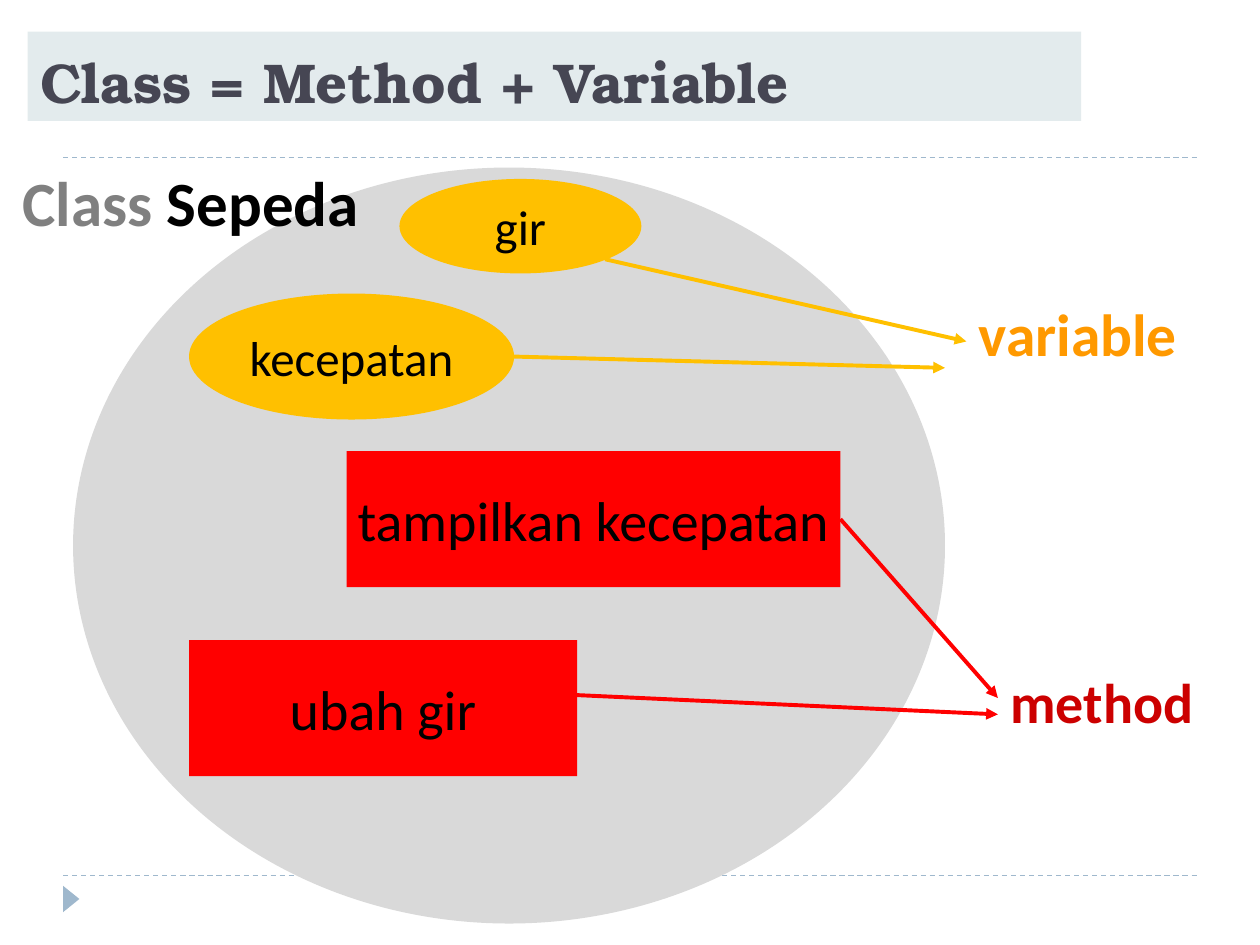
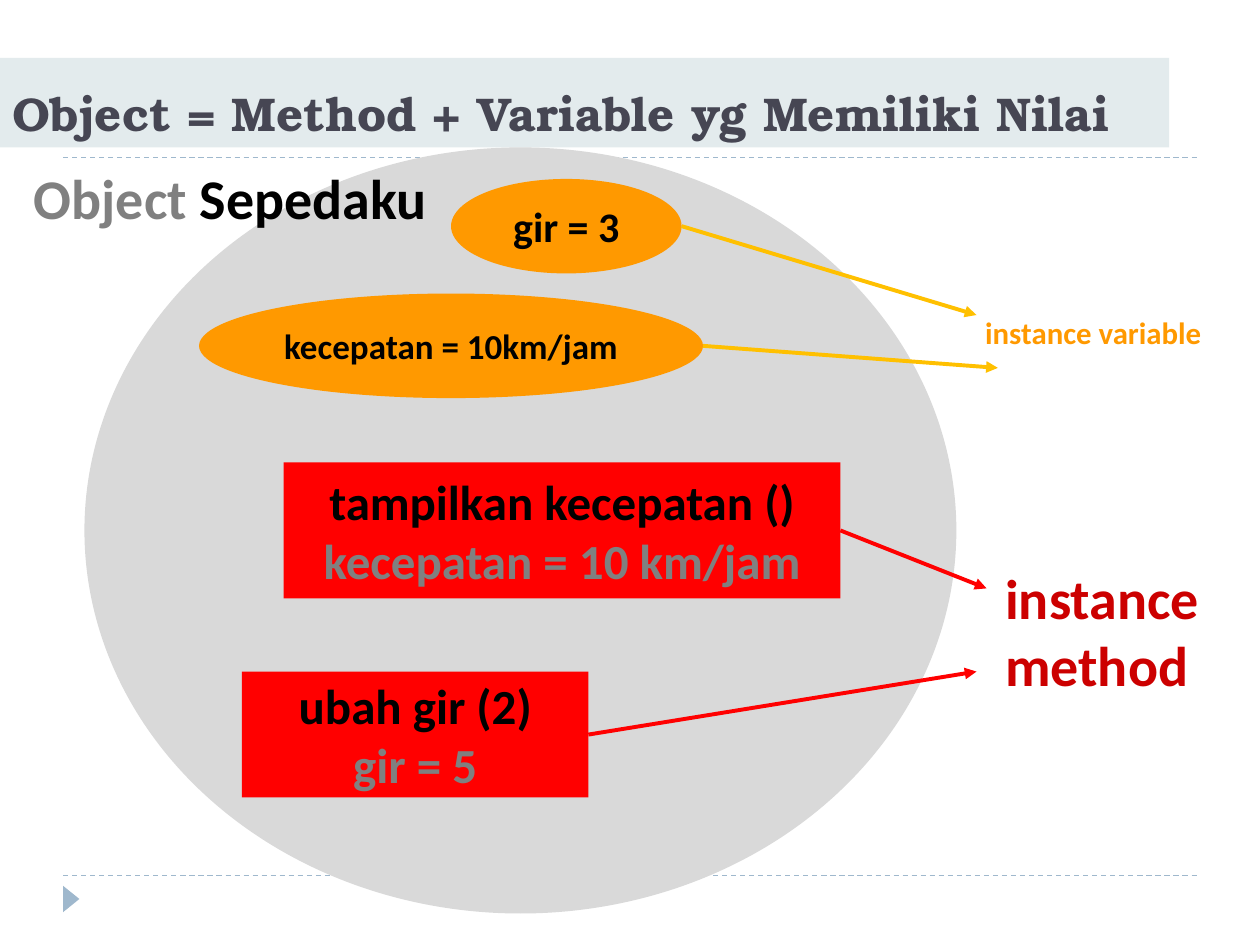
import pptx
import pptx.util
import pptx.dml.color
import pptx.enum.dml
import pptx.enum.shapes
import pptx.enum.text
import pptx.oxml
import pptx.oxml.ns
from lxml import etree

Inches = pptx.util.Inches
SHAPES = pptx.enum.shapes.MSO_SHAPE
ANCHOR = pptx.enum.text.MSO_ANCHOR
ALIGN = pptx.enum.text.PP_ALIGN

TITLE_FONT, BODY_FONT = "TeX Gyre Bonum", "Calibri"
TITLE_INK, BAND, RULE = "464653", "528693", "9FB8CD"
INK, GREY, CIRCLE = "000000", "808080", "D9D9D9"
AMBER, ORANGE, RED, DARK_RED = "FFC000", "FF9900", "FF0000", "CC0000"


def color(hex_code):
    return pptx.dml.color.RGBColor.from_string(hex_code)


def paint(shape, fill):
    shape.fill.solid()
    shape.fill.fore_color.rgb = color(fill)


def write(shape, paragraphs, size, font=BODY_FONT, bold=True, align=ALIGN.LEFT,
          anchor=ANCHOR.TOP, wrap=True, indent=0, spacing=None):
    frame = shape.text_frame
    frame.auto_size = pptx.enum.text.MSO_AUTO_SIZE.NONE
    frame.word_wrap = wrap
    frame.vertical_anchor = anchor
    for number, runs in enumerate(paragraphs):
        paragraph = frame.add_paragraph() if number else frame.paragraphs[0]
        paragraph.alignment = align
        if spacing:
            paragraph.line_spacing = spacing
        if indent:
            paragraph._p.get_or_add_pPr().set("marL", str(Inches(indent)))
        for text, ink in runs:
            run = paragraph.add_run()
            run.text = text
            run.font.name = font
            run.font.size = pptx.util.Pt(size)
            run.font.bold = bold
            run.font.color.rgb = color(ink)


def add_solid(slide, kind, box, fill):
    shape = slide.shapes.add_shape(kind, *map(Inches, box))
    shape.shadow.inherit = False
    shape.line.fill.background()
    paint(shape, fill)
    return shape


def add_line(slide, start, end, ink, width, dashed=False, arrow=False):
    line = slide.shapes.add_connector(
        pptx.enum.shapes.MSO_CONNECTOR.STRAIGHT, *map(Inches, (*start, *end)))
    line.line.color.rgb = color(ink)
    line.line.width = pptx.util.Pt(width)
    if dashed:
        line.line.dash_style = pptx.enum.dml.MSO_LINE.DASH
    properties = line._element.spPr
    if arrow:
        etree.SubElement(properties.find(pptx.oxml.ns.qn("a:ln")),
                         pptx.oxml.ns.qn("a:tailEnd"), type="triangle")
    etree.SubElement(properties, pptx.oxml.ns.qn("a:effectLst"))


def add_frame(slide):
    for y in (6.95, 1.25):
        add_line(slide, (0.5, y), (9.5, y), RULE, 0.75, dashed=True)
    marker = add_solid(slide, SHAPES.ISOSCELES_TRIANGLE, (0.46, 7.07, 0.21, 0.13), RULE)
    marker.rotation = 90


def add_title(slide, box, text, size):
    title = slide.shapes.title
    title.left, title.top, title.width, title.height = map(Inches, box)
    paint(title, BAND)
    tint = title._element.spPr.find(".//" + pptx.oxml.ns.qn("a:srgbClr"))
    etree.SubElement(tint, pptx.oxml.ns.qn("a:alpha"), val="16000")
    write(title, [[(text, TITLE_INK)]], size, font=TITLE_FONT, anchor=ANCHOR.BOTTOM)


def add_diagram(slide, box, members, labels):
    left, top = box[:2]
    add_solid(slide, SHAPES.OVAL, box, CIRCLE)
    for kind, (x, y, width, height), fill, ink, lines, style, tip, exit_point in members:
        x, y = left + x, top + y
        member = add_solid(slide, kind, (x, y, width, height), fill)
        write(member, [[line] for line in lines], align=ALIGN.CENTER,
              anchor=ANCHOR.MIDDLE, wrap=False, **style)
        start = (x + width * exit_point[0], y + height * exit_point[1])
        add_line(slide, start, (left + tip[0], top + tip[1]), ink, 2.25, arrow=True)
    for (x, y, width, height), runs, style in labels:
        label = slide.shapes.add_textbox(
            *map(Inches, (left + x, top + y, width, height)))
        write(label, [runs], **style)


def variable(box, text, size, fill, tip, bold=True, exit_point=(1, 0.5)):
    return (SHAPES.OVAL, box, fill, AMBER, [(text, INK)],
            {"size": size, "bold": bold}, tip, exit_point)


def method(box, lines, size, tip, bold=True, exit_point=(1, 0.5)):
    return (SHAPES.RECTANGLE, box, RED, RED, list(zip(lines, (INK, GREY))),
            {"size": size, "bold": bold}, tip, exit_point)


def name_label(box, kind, name, size):
    return box, [(kind, GREY), (name, INK)], {"size": size}


def build_slide(deck, title, diagram):
    slide = deck.slides.add_slide(deck.slide_layouts[5])
    add_frame(slide)
    add_title(slide, *title)
    add_diagram(slide, *diagram)


def main():
    deck = pptx.Presentation()
    deck.slide_width, deck.slide_height = Inches(10), Inches(7.5)

    build_slide(
        deck,
        ((0.22, 0.25, 8.36, 0.71), "Class = Method + Variable", 32),
        ((0.58, 1.33, 6.92, 6), [
            variable((0.92, 1, 2.58, 1), "kecepatan", 28, AMBER, (6.92, 1.59), bold=False),
            variable((2.59, 0.09, 1.92, 0.75), "gir", 28, AMBER, (7.09, 1.38),
                     bold=False, exit_point=(0.85, 0.85)),
            method((2.17, 2.25, 3.92, 1.08), ["tampilkan kecepatan"], 32,
                   (7.34, 4.21), bold=False),
            method((0.92, 3.75, 3.08, 1.08), ["ubah gir"], 32, (7.34, 4.34),
                   bold=False, exit_point=(0.89, 0.39)),
        ], [
            ((7.09, 1.09, 2.17, 0.58), [("variable", ORANGE)], {"size": 34, "spacing": 0.8}),
            ((7.34, 3.92, 1.92, 0.58), [("method", DARK_RED)], {"size": 32}),
            name_label((-0.5, -0.08, 3.12, 0.71), "Class ", "Sepeda", 36),
        ]))

    build_slide(
        deck,
        ((0, 0.46, 9.28, 0.71), "Object = Method + Variable yg Memiliki Nilai", 27),
        ((0.67, 1.17, 6.92, 6.08), [
            variable((0.91, 1.16, 4, 0.83), "kecepatan = 10km/jam", 20, ORANGE, (7.25, 1.75)),
            variable((2.91, 0.25, 1.83, 0.75), "gir = 3", 24, ORANGE, (7.08, 1.33)),
            method((1.58, 2.5, 4.42, 1.08),
                   ["tampilkan kecepatan ()", "kecepatan = 10 km/jam"], 28, (7.16, 3.5)),
            method((1.25, 4.16, 2.75, 1), ["ubah gir (2)", "gir = 5"], 28, (7.08, 4.16)),
        ], [
            ((6.75, 1.33, 2.67, 0.58), [("instance variable", ORANGE)],
             {"size": 17.6, "indent": 0.3, "spacing": 0.8}),
            ((6.83, 3.25, 2.67, 0.58), [("instance method", DARK_RED)],
             {"size": 32, "indent": 0.38}),
            name_label((-0.5, 0.08, 3.67, 0.64), "Object ", "Sepedaku", 32),
        ]))

    deck.save("out.pptx")


if __name__ == "__main__":
    main()
